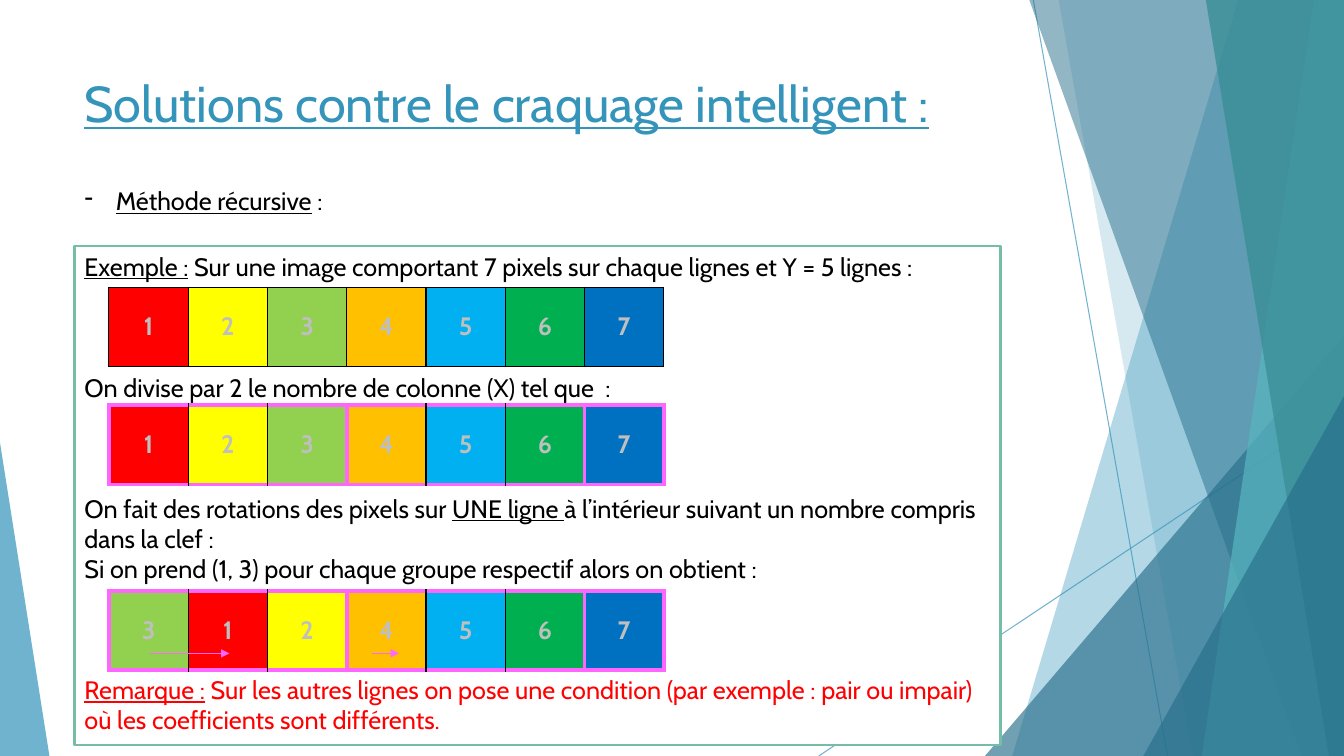
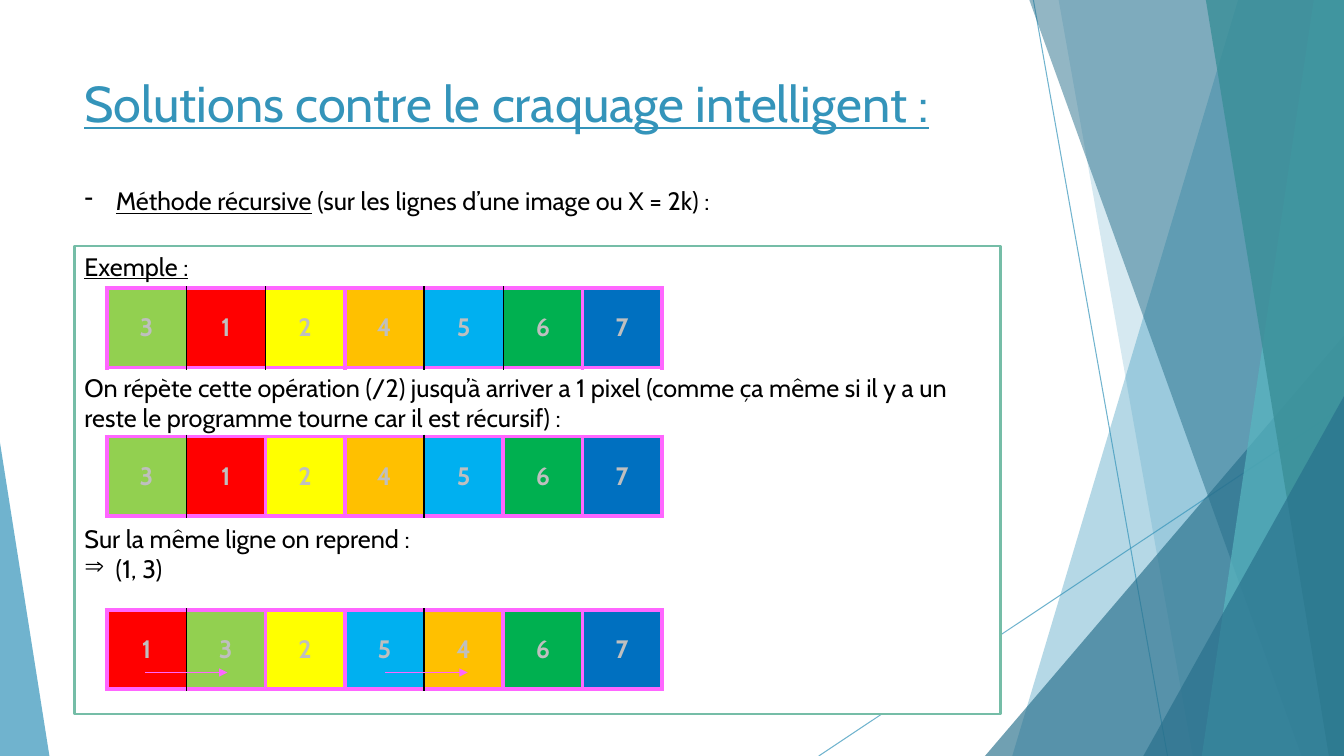
"""Build two slides that explain a recursive pixel rotation method."""
import dataclasses

import lxml.etree
import pptx
import pptx.dml.color
import pptx.enum.shapes
import pptx.enum.text
import pptx.oxml.ns
import pptx.util


@dataclasses.dataclass(frozen=True)
class Theme:
    font: str = "Cabin"
    title_size: int = 36
    body_size: int = 18
    body_line: float = 21.6
    blue: str = "3494BA"
    deep_blue: str = "276F8B"
    teal: str = "58B6C0"
    deep_teal: str = "3A8F98"
    frame: str = "75BDA7"
    white: str = "FFFFFF"
    black: str = "000000"
    red: str = "FF0000"
    pink: str = "FF66FF"
    digit: str = "BFBFBF"
    pixels: tuple = ("FF0000", "FFFF00", "92D050", "FFC000", "00B0F0", "00B050", "0070C0")


theme = Theme()
qn = pptx.oxml.ns.qn
rgb = pptx.dml.color.RGBColor.from_string
deck = pptx.Presentation()
deck.slide_width = pptx.util.Inches(13.33)
deck.slide_height = pptx.util.Inches(7.5)
layout = deck.slide_layouts[6]


def place(*shares):
    """Turn alternating percentages of slide width and height into lengths."""
    sides = (deck.slide_width, deck.slide_height)
    return [round(sides[i % 2] * share / 100) for i, share in enumerate(shares)]


def paint(shape, colour, opacity=100, line_width=None):
    """Fill a shape, or colour a connector when a line width is given."""
    if line_width:
        shape.line.width = pptx.util.Pt(line_width)
        fill = shape.line.fill
        lxml.etree.SubElement(shape.element.spPr, qn("a:effectLst"))
    else:
        shape.line.fill.background()
        shape.shadow.inherit = False
        fill = shape.fill
    fill.solid()
    fill.fore_color.rgb = rgb(colour)
    if opacity < 100:
        for tone in shape.element.spPr.iter(qn("a:srgbClr")):
            lxml.etree.SubElement(tone, qn("a:alpha"), val=str(opacity * 1000))


slides = [
    {
        "method": "_Méthode récursive_ :",
        "frame_height": 66,
        "paragraphs": [
            (0, "", theme.black, "_Exemple :_ Sur une image comportant 7 pixels sur chaque lignes et Y = 5 lignes :"),
            (3, "", theme.black, "On divise par 2 le nombre de colonne (X) tel que  :"),
            (3, "", theme.black, "On fait des rotations des pixels sur _UNE ligne _à l’intérieur "
                                 "suivant un nombre compris dans la clef :"),
            (0, "", theme.black, "Si on prend (1, 3) pour chaque groupe respectif alors on obtient :"),
            (3, "", theme.red, "_Remarque :_ Sur les autres lignes on pose une condition "
                               "(par exemple : pair ou impair) où les coefficients sont différents."),
        ],
        "strip_left": 8.1,
        "strips": [(38, "1234567", ()), (53.6, "1234567", (0, 3, 6, 7)), (78.13, "3124567", (0, 3, 6, 7))],
        "arrows": [(0.52, 1.52), (3.32, 3.66)],
    },
    {
        "method": "_Méthode récursive_ (sur les lignes d’une image ou X = 2k) :",
        "frame_height": 61.87,
        "paragraphs": [
            (0, "", theme.black, "_Exemple :_"),
            (3, "", theme.black, "On répète cette opération (/2) jusqu’à arriver a 1 pixel (comme ça même "
                                 "si il y a un reste le programme tourne car il est récursif) :"),
            (3, "", theme.black, "Sur la même ligne on reprend :"),
            (0, "⇒", theme.black, "(1, 3)"),
        ],
        "strip_left": 7.95,
        "strips": [(38.13, "3124567", (0, 3, 6, 7)), (57.73, "3124567", (0, 2, 3, 5, 6, 7)),
                   (80.67, "1325467", (0, 2, 3, 5, 6, 7))],
        "arrows": [(0.48, 1.52), (3.51, 4.55)],
    },
]
pages = [deck.slides.add_slide(layout) for content in slides]
straight = pptx.enum.shapes.MSO_CONNECTOR.STRAIGHT
triangle = pptx.enum.shapes.MSO_SHAPE.ISOSCELES_TRIANGLE

shapes = pages[0].shapes
backdrop = []
for ends in ((76.89, 0, 86.87, 100), (100, 53.73, 60.92, 100)):
    ray = shapes.add_connector(straight, *place(*ends))
    paint(ray, theme.blue, 70, line_width=0.75)
    backdrop.append(ray)

for kind, edges, colour, opacity in (
    ("band", (92.12, 75.32), theme.blue, 36),
    ("band", (78.77, 88.75), theme.blue, 20),
    ("wedge", (73.29, 44.4, 26.71, 55.6, 1), theme.deep_blue, 66),
    ("band", (76.59, 96.85), theme.deep_blue, 50),
    ("band", (97.75, 89.42), theme.teal, 70),
    ("band", (89.72, 98.87), theme.deep_teal, 80),
    ("wedge", (85.07, 52.4, 14.93, 47.6, 1), theme.deep_blue, 66),
    ("wedge", (0, 58.53, 3.68, 41.47, 0), theme.blue, 70),
):
    if kind == "band":
        top, bottom = edges
        outline = shapes.build_freeform(*place(top, 0))
        outline.add_line_segments([place(100, 0), place(100, 100), place(bottom, 100)], close=True)
        facet = outline.convert_to_shape()
    else:
        facet = shapes.add_shape(triangle, *place(*edges[:4]))
        facet.adjustments[0] = edges[4]
    paint(facet, colour, opacity)
    backdrop.append(facet)

for shape in backdrop:
    layout.shapes.element.append(shape.element)

left = 5.55
cell_width, cell_height = 5.9, 10.5
for page, content in zip(pages, slides):
    for area, size, border, paragraphs in (
        ((left, 8.93, 70.5, 19.2), theme.title_size, None,
         [(0, "", theme.blue, "_Solutions contre le craquage intelligent :_")]),
        ((left, 23.87, 52.74, 5.33), theme.body_size, theme.white,
         [(0, "-", theme.black, content["method"])]),
        ((left, 32.53, 68.9, content["frame_height"]), theme.body_size, theme.frame, content["paragraphs"]),
    ):
        box = page.shapes.add_textbox(*place(*area))
        if border:
            box.fill.solid()
            box.fill.fore_color.rgb = rgb(theme.white)
            box.line.color.rgb = rgb(border)
            box.line.width = pptx.util.Pt(1.5)
        frame = box.text_frame
        frame.word_wrap = True
        for index, (lines_before, bullet, colour, text) in enumerate(paragraphs):
            para = frame.add_paragraph() if index else frame.paragraphs[0]
            para.space_before = pptx.util.Pt(lines_before * theme.body_line)
            if bullet:
                properties = para._p.get_or_add_pPr()
                indent = pptx.util.Inches(0.31)
                properties.set("marL", str(indent))
                properties.set("indent", str(-indent))
                lxml.etree.SubElement(properties, qn("a:buChar"), char=bullet)
            para.font.name = theme.font
            para.font.size = pptx.util.Pt(size)
            para.font.color.rgb = rgb(colour)
            for position, part in enumerate(text.split("_")):
                if part:
                    span = para.add_run()
                    span.text = part
                    span.font.underline = position % 2 == 1

    strip_left = content["strip_left"]
    for strip_top, order, group_edges in content["strips"]:
        count = len(order)
        table = page.shapes.add_table(
            1, count, *place(strip_left, strip_top, cell_width * count, cell_height)).table
        table.first_row = table.horz_banding = False
        for index, digit in enumerate(order):
            cell = table.cell(0, index)
            cell_properties = cell._tc.get_or_add_tcPr()
            for side, grouped in (("L", index in group_edges), ("R", index + 1 in group_edges),
                                  ("T", bool(group_edges)), ("B", bool(group_edges))):
                border = lxml.etree.SubElement(
                    cell_properties, qn("a:ln" + side), w=str(pptx.util.Pt(3 if grouped else 1)))
                ink = lxml.etree.SubElement(border, qn("a:solidFill"))
                lxml.etree.SubElement(ink, qn("a:srgbClr"), val=theme.pink if grouped else theme.black)
            cell.fill.solid()
            cell.fill.fore_color.rgb = rgb(theme.pixels[int(digit) - 1])
            cell.vertical_anchor = pptx.enum.text.MSO_ANCHOR.MIDDLE
            cell.text = digit
            para = cell.text_frame.paragraphs[0]
            para.alignment = pptx.enum.text.PP_ALIGN.CENTER
            para.font.name = theme.font
            para.font.size = pptx.util.Pt(theme.body_size)
            para.font.bold = True
            para.font.color.rgb = rgb(theme.digit)

    arrow_top = content["strips"][-1][0] + 0.79 * cell_height
    for start, end in content["arrows"]:
        arrow = page.shapes.add_connector(straight, *place(
            strip_left + start * cell_width, arrow_top, strip_left + end * cell_width, arrow_top))
        paint(arrow, theme.pink, line_width=1)
        lxml.etree.SubElement(arrow.line._get_or_add_ln(), qn("a:tailEnd"), type="triangle")

deck.save("out.pptx")
